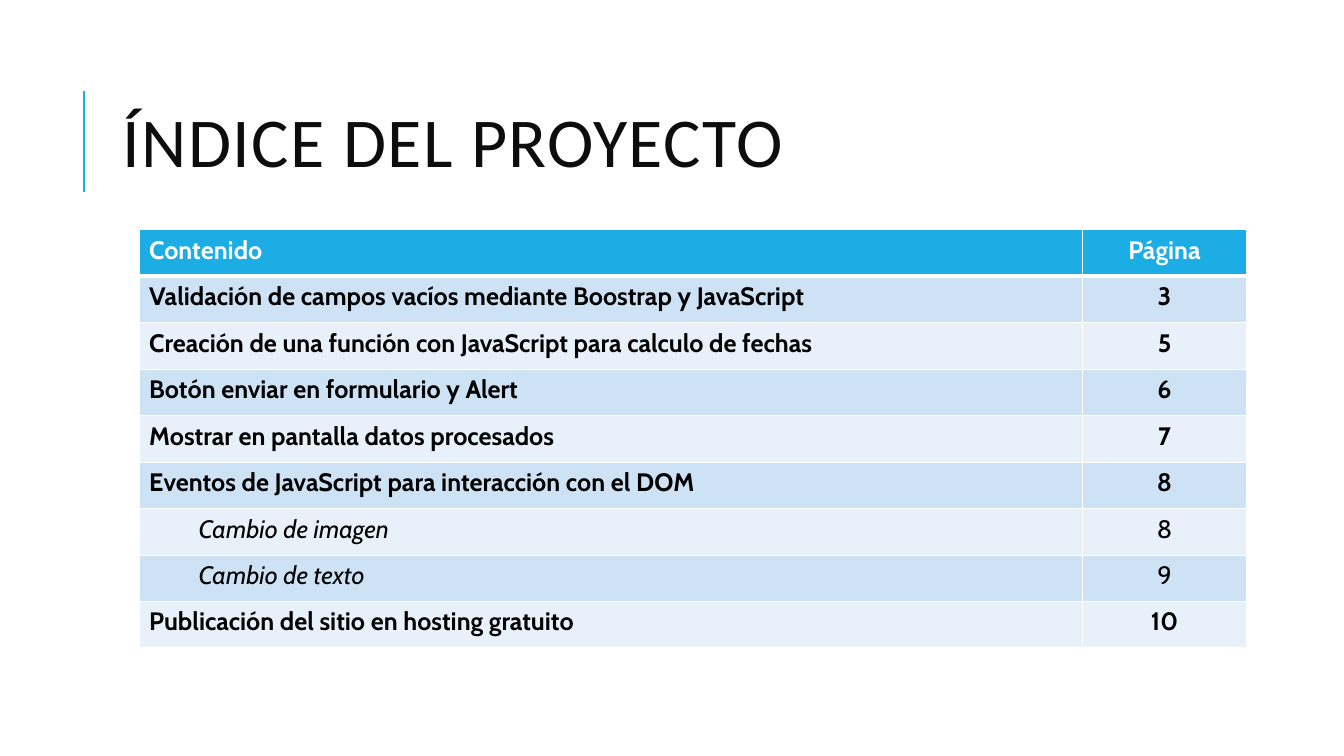
from lxml import etree
from pptx import Presentation
from pptx import util as u
from pptx.dml.color import RGBColor
from pptx.enum import shapes, text
from pptx.oxml import ns

COLORS = {
    "accent": "1CADE4",
    "title": "0D0D0D",
    "body": "000000",
    "white": "FFFFFF",
    "odd_row": "CDE3F5",
    "even_row": "E8F1FA",
}
ENTRIES = [
    ("Validación de campos vacíos mediante Boostrap y JavaScript", "3", False),
    ("Creación de una función con JavaScript para calculo de fechas", "5", False),
    ("Botón enviar en formulario y Alert", "6", False),
    ("Mostrar en pantalla datos procesados", "7", False),
    ("Eventos de JavaScript para interacción con el DOM", "8", False),
    ("Cambio de imagen", "8", True),
    ("Cambio de texto", "9", True),
    ("Publicación del sitio en hosting gratuito", "10", False),
]


def color(name):
    return RGBColor.from_string(COLORS[name])


def write_text(frame, words, font="Cabin", size=18, ink="body", bold=False,
               italic=False, align=text.PP_ALIGN.LEFT, indent=0, line_spacing=None,
               letter_spacing=None):
    para = frame.paragraphs[0]
    para.alignment = align
    para.line_spacing = line_spacing
    if indent:
        properties = para._p.get_or_add_pPr()
        properties.set("marL", str(u.Inches(indent)))
        properties.set("indent", "0")
    span = para.add_run()
    span.text = words
    span.font.name = font
    span.font.size = u.Pt(size)
    span.font.bold = bold
    span.font.italic = italic
    span.font.color.rgb = color(ink)
    if letter_spacing:
        span.font._element.set("spc", str(letter_spacing * 100))


def set_borders(cell, **widths):
    properties = cell._tc.get_or_add_tcPr()
    for position, side in enumerate(("L", "R", "T", "B")):
        line = etree.Element(ns.qn(f"a:ln{side}"), w=str(u.Pt(widths.get(side, 1))))
        fill = etree.SubElement(line, ns.qn("a:solidFill"))
        etree.SubElement(fill, ns.qn("a:srgbClr"), val=COLORS["white"])
        properties.insert(position, line)


def add_title(page, left, top, width, height):
    middle = top + 0.76
    rule = page.shapes.add_connector(
        shapes.MSO_CONNECTOR.STRAIGHT, u.Inches(left), u.Inches(middle + 0.5),
        u.Inches(left), u.Inches(middle - 0.5))
    rule.line.color.rgb = color("accent")
    rule.line.width = u.Pt(1.5)
    etree.SubElement(rule._element.spPr, ns.qn("a:effectLst"))

    gap = 0.29
    box = page.shapes.add_textbox(u.Inches(left + gap), u.Inches(top),
                                  u.Inches(width - gap), u.Inches(height))
    frame = box.text_frame
    frame.word_wrap = True
    frame.vertical_anchor = text.MSO_ANCHOR.MIDDLE
    write_text(frame, "ÍNDICE DEL PROYECTO", font="Calibri", size=50, ink="title",
               line_spacing=0.8, letter_spacing=1)


def add_index(page, left, top, width, height):
    rows = [("Contenido", "Página", False)] + ENTRIES
    table = page.shapes.add_table(len(rows), 2, u.Inches(left), u.Inches(top),
                                  u.Inches(width), u.Inches(height)).table
    page_width = 1.62
    table.columns[0].width = u.Inches(width - page_width)
    table.columns[1].width = u.Inches(page_width)

    for row, (content, number, nested) in enumerate(rows):
        header = row == 0
        fill = "accent" if header else ("odd_row" if row % 2 else "even_row")
        for column, words in enumerate((content, number)):
            cell = table.cell(row, column)
            cell.fill.solid()
            cell.fill.fore_color.rgb = color(fill)
            set_borders(cell, T=3 if row == 1 else 1, B=3 if header else 1)
            label = column == 0
            write_text(cell.text_frame, words, ink="white" if header else "body",
                       bold=not nested, italic=nested and label,
                       indent=0.49 if nested and label else 0,
                       align=text.PP_ALIGN.LEFT if label else text.PP_ALIGN.CENTER)


def main():
    deck = Presentation()
    deck.slide_width = u.Inches(13.33)
    deck.slide_height = u.Inches(7.5)
    page = deck.slides.add_slide(deck.slide_layouts[6])
    add_title(page, 0.83, 0.64, 10.92, 1.64)
    add_index(page, 1.38, 2.28, 10.98, 4.15)
    deck.save("out.pptx")


if __name__ == "__main__":
    main()
